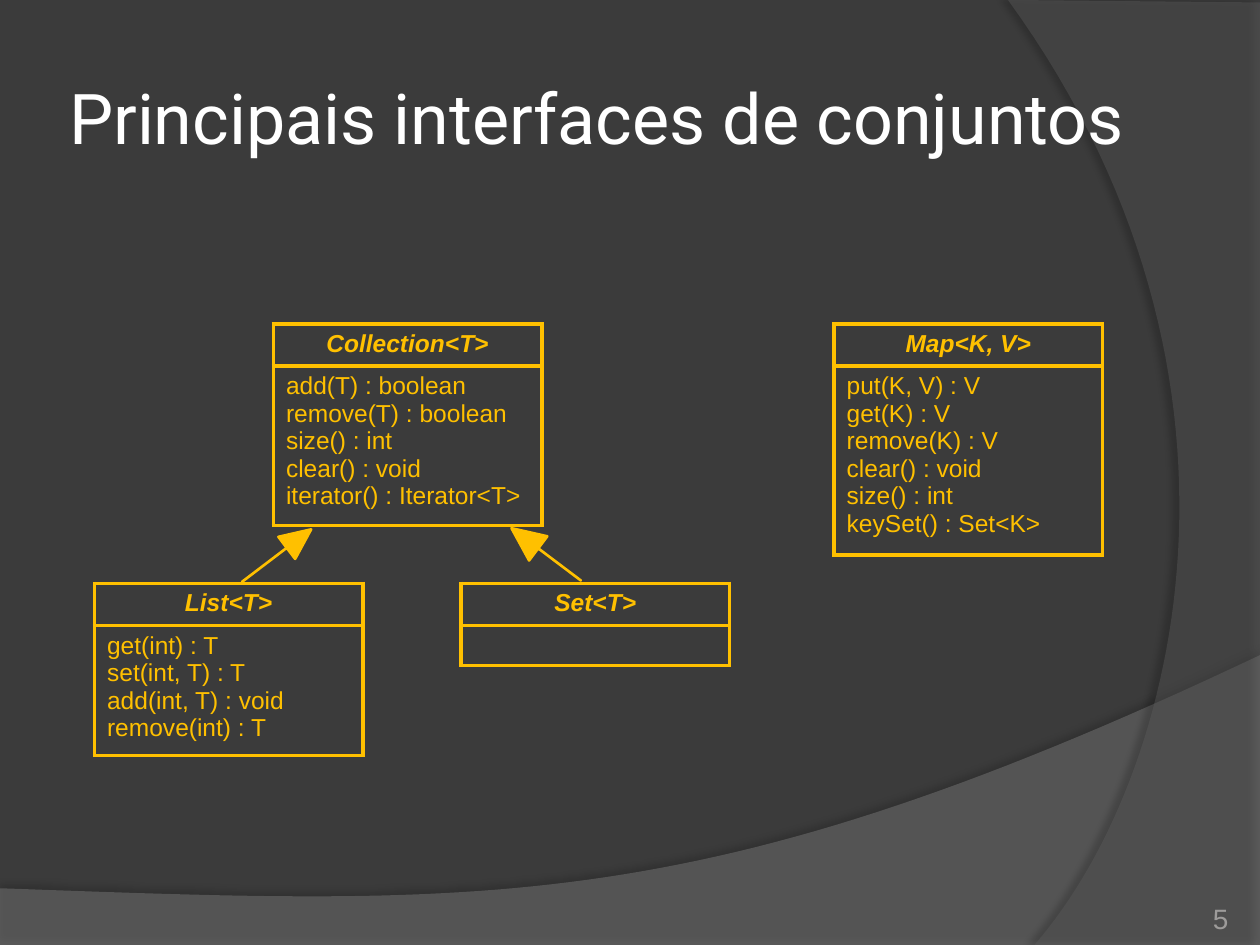
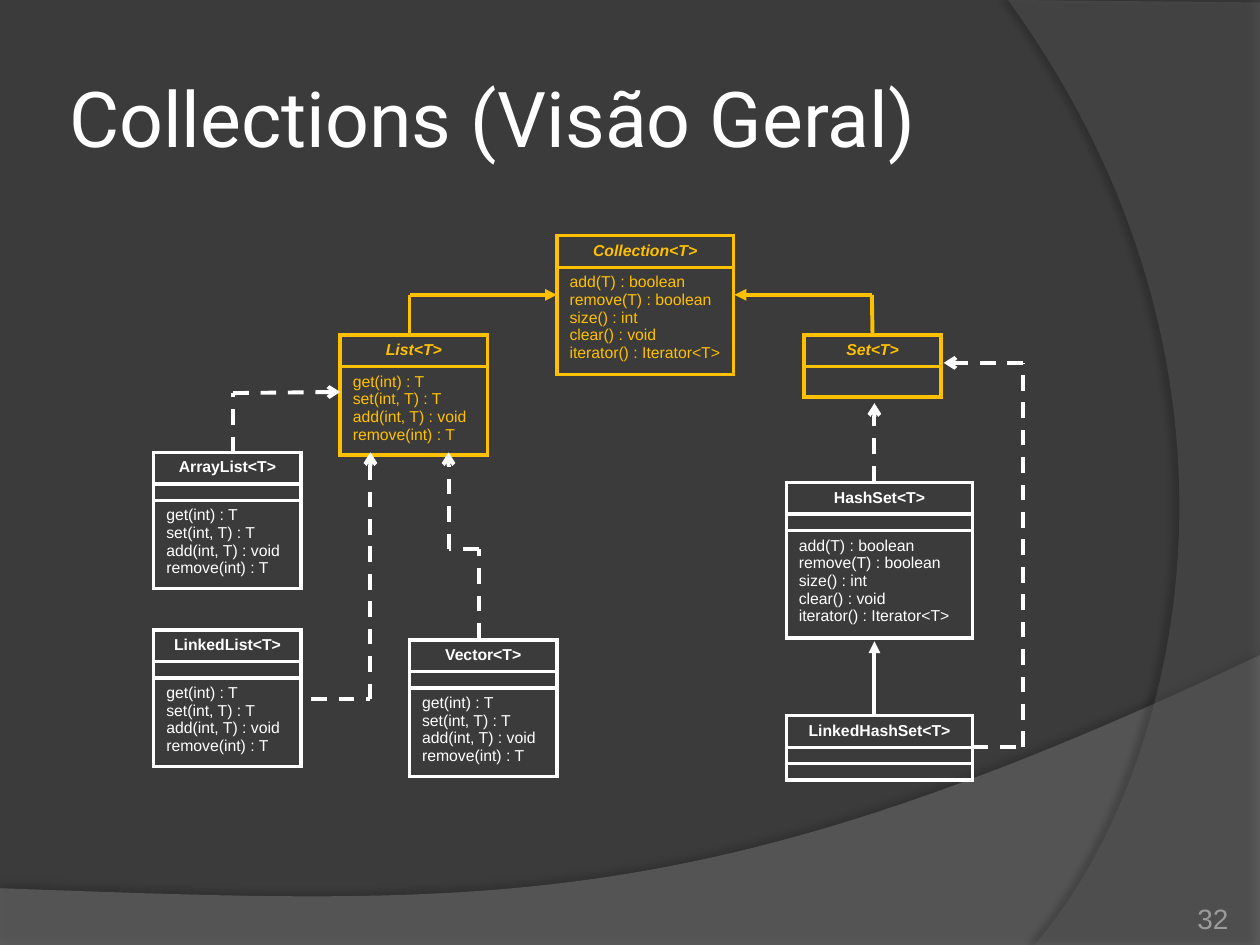
from dataclasses import dataclass
from itertools import pairwise
from typing import Optional

from lxml.etree import SubElement
from pptx import Presentation
from pptx.dml.color import RGBColor as RGB
from pptx.enum.dml import MSO_LINE as DASH
from pptx.enum.shapes import MSO_CONNECTOR as CONN, MSO_SHAPE as SHAPE
from pptx.enum.text import MSO_ANCHOR as ANCHOR, PP_ALIGN as ALIGN
from pptx.oxml.ns import qn
from pptx.util import Emu, Inches, Pt

COLORS = {
    "back": "3B3B3B", "hill": "7F7F7F", "arc": "5E5E5E", "shadow": "000000",
    "title": "FFFFFF", "page": "9D9B9A", "interface": "FFC000", "class": "FFFFFF",
}
WIDTH, HEIGHT = Inches(10), Inches(7.5)
COLS, ROWS = 100, 75
BORDER = 2.25
PADDING, LINE_ROWS, GAP_ROWS = 1, 0.156, 1.3
TOP, LEFT, RIGHT = 0, 1, 3

LIST_OPS = ("get(int) : T", "set(int, T) : T", "add(int, T) : void", "remove(int) : T")
COLLECTION_OPS = ("add(T) : boolean", "remove(T) : boolean", "size() : int",
                  "clear() : void", "iterator() : Iterator<T>")
MAP_OPS = ("put(K, V) : V", "get(K) : V", "remove(K) : V",
           "clear() : void", "size() : int", "keySet() : Set<K>")


@dataclass(frozen=True)
class UmlType:
    name: str
    col: float
    row: float
    width: float
    ops: tuple = ()
    kind: str = "interface"


@dataclass(frozen=True)
class Link:
    points: tuple
    kind: str = "class"
    dashed: bool = True
    start: Optional[tuple] = None
    end: Optional[tuple] = None


@dataclass(frozen=True)
class Band:
    color: str
    alpha: int
    before: tuple
    curve: tuple
    shadow_alpha: int
    distance: float
    angle: int


@dataclass(frozen=True)
class FatArrow:
    col: float
    row: float
    height: float
    rotation: float


@dataclass(frozen=True)
class Page:
    title: str
    title_size: int
    number: str
    text_size: int
    types: tuple
    links: tuple = ()
    arrows: tuple = ()


BANDS = (
    Band("hill", 45, ((0, 75), (100, 75)),
         ((100, 52), (55.9, 72.9), (39.1, 71.9), (0, 70.5)), 35, 3.5, 270),
    Band("arc", 40, ((100, 0.2), (100, 75)),
         ((82.1, 75), (93.5, 61.9), (101.8, 30), (80, 0)), 45, 4, 180),
)

PAGES = (
    Page("Principais interfaces de conjuntos", 40, "5", 14, (
        UmlType("Collection<T>", 21.7, 25.7, 21.3, COLLECTION_OPS),
        UmlType("Set<T>", 36.6, 46.3, 21.3),
        UmlType("List<T>", 7.5, 46.3, 21.3, LIST_OPS),
        UmlType("Map<K, V>", 66.2, 25.7, 21.3, MAP_OPS),
    ), arrows=(FatArrow(18.5, 43, 2.2, 322.8), FatArrow(39.9, 42.8, 2.4, 217))),
    Page("Collections (Visão Geral)", 44, "32", 9, (
        UmlType("Collection<T>", 44.2, 18.7, 14, COLLECTION_OPS),
        UmlType("Set<T>", 63.8, 26.6, 10.9),
        UmlType("List<T>", 27, 26.6, 11.7, LIST_OPS),
        UmlType("ArrayList<T>", 12.2, 35.9, 11.7, LIST_OPS, "class"),
        UmlType("LinkedList<T>", 12.2, 50, 11.7, LIST_OPS, "class"),
        UmlType("Vector<T>", 32.5, 50.8, 11.7, LIST_OPS, "class"),
        UmlType("HashSet<T>", 62.4, 38.3, 14.8, COLLECTION_OPS, "class"),
        UmlType("LinkedHashSet<T>", 62.4, 56.8, 14.8, (), "class"),
    ), (
        Link(((32.5, 26.6), (32.5, 23.4), (44.2, 23.4)), "interface", False),
        Link(((69.2, 26.6), (69.2, 23.4), (58.3, 23.4)), "interface", False,
             start=("Set<T>", TOP)),
        Link(((18.5, 35.9), (18.5, 31.2), (27, 31.2)), end=("List<T>", LEFT)),
        Link(((24.7, 55.5), (29.4, 55.5), (29.4, 35.9))),
        Link(((38, 50.7), (38, 43.6), (35.6, 43.6), (35.6, 35.9))),
        Link(((69.4, 56.8), (69.4, 50.9)), dashed=False),
        Link(((69.4, 38.2), (69.4, 32))),
        Link(((77.2, 59.3), (81.2, 59.3), (81.2, 28.8), (74.9, 28.8)),
             start=("LinkedHashSet<T>", RIGHT)),
    )),
)


def x(cols: float) -> Emu:
    return Emu(round(WIDTH * cols / COLS))


def y(rows: float) -> Emu:
    return Emu(round(HEIGHT * rows / ROWS))


def rgb(name: str) -> RGB:
    return RGB.from_string(COLORS[name])


def apply(target, formats: dict) -> None:
    for name, value in formats.items():
        setattr(target, name, value)


def add_run(p, text: str, color: str, **font) -> None:
    r = p.add_run()
    r.text = text
    apply(r.font, font)
    r.font.color.rgb = rgb(color)


def add_text(slide, box: tuple, text: str, color: str, inset: float,
             anchor, align, **font) -> None:
    col, row, width, height = box
    tf = slide.shapes.add_textbox(x(col), y(row), x(width), y(height)).text_frame
    sides = ("left", "top", "right", "bottom")
    apply(tf, {f"margin_{side}": Inches(inset) for side in sides}
          | {"word_wrap": True, "vertical_anchor": anchor})
    p = tf.paragraphs[0]
    p.alignment = align
    add_run(p, text, color, **font)


def bezier(points: tuple, steps: int = 60) -> list:
    weights = (1, 3, 3, 1)
    return [tuple(sum(w * (1 - t) ** (3 - i) * t ** i * pt[axis]
                      for i, (w, pt) in enumerate(zip(weights, points)))
                  for axis in (0, 1))
            for t in (step / steps for step in range(steps + 1))]


def add_band(slide, band: Band) -> None:
    outline = [(x(c), y(r)) for c, r in (*band.before, *bezier(band.curve))]
    builder = slide.shapes.build_freeform(*outline[0])
    builder.add_line_segments(outline[1:], close=True)
    sp = builder.convert_to_shape()
    sp.line.fill.background()
    sp.fill.solid()
    sp.fill.fore_color.rgb = rgb(band.color)
    fill_color = sp._element.spPr.find(qn("a:solidFill"))[0]
    SubElement(fill_color, qn("a:alpha"), val=str(band.alpha * 1000))
    effects = SubElement(sp._element.spPr, qn("a:effectLst"))
    shadow = SubElement(effects, qn("a:outerShdw"), blurRad=str(Pt(4)),
                        dist=str(Pt(band.distance)), dir=str(band.angle * 60000),
                        algn="ctr", rotWithShape="0")
    color = SubElement(shadow, qn("a:srgbClr"), val=COLORS["shadow"])
    SubElement(color, qn("a:alpha"), val=str(band.shadow_alpha * 1000))


def frame_cell(cell, color: str) -> None:
    cell.fill.background()
    tc_pr = cell._tc.get_or_add_tcPr()
    for i, side in enumerate(("lnL", "lnR", "lnT", "lnB")):
        ln = SubElement(tc_pr, qn(f"a:{side}"), w=str(Pt(BORDER)))
        fill = SubElement(ln, qn("a:solidFill"))
        SubElement(fill, qn("a:srgbClr"), val=COLORS[color])
        tc_pr.insert(i, ln)


def add_type(slide, uml: UmlType, size: int):
    def text_rows(lines: int) -> float:
        return PADDING + lines * size * LINE_ROWS

    concrete = uml.kind == "class"
    empty = GAP_ROWS if concrete else text_rows(1)
    heights = [text_rows(1)] + [GAP_ROWS] * concrete
    heights.append(text_rows(len(uml.ops)) if uml.ops else empty)
    frame = slide.shapes.add_table(len(heights), 1, x(uml.col), y(uml.row),
                                   x(uml.width), y(sum(heights)))
    table = frame.table
    apply(table, {"first_row": False, "horz_banding": False})
    texts = [(uml.name,)] + [()] * concrete + [uml.ops]
    for i, (height, lines) in enumerate(zip(heights, texts)):
        table.rows[i].height = y(height)
        cell = table.cell(i, 0)
        frame_cell(cell, uml.kind)
        tf = cell.text_frame
        for n, line in enumerate(lines):
            p = tf.add_paragraph() if n else tf.paragraphs[0]
            p.alignment = ALIGN.LEFT if i else ALIGN.CENTER
            add_run(p, line, uml.kind, name="Arial", size=Pt(size),
                    bold=i == 0, italic=i == 0 and not concrete)
        if not lines:
            apply(cell, {"margin_top": 0, "margin_bottom": 0})
            SubElement(tf.paragraphs[0]._p, qn("a:endParaRPr"), sz="400")
    return frame


def add_link(slide, link: Link, frames: dict) -> None:
    segments = list(pairwise(link.points))
    for i, ((c1, r1), (c2, r2)) in enumerate(segments):
        last = i == len(segments) - 1
        line = slide.shapes.add_connector(CONN.STRAIGHT, x(c1), y(r1), x(c2), y(r2))
        if link.start and i == 0:
            name, site = link.start
            line.begin_connect(frames[name], site)
        if link.end and last:
            name, site = link.end
            line.end_connect(frames[name], site)
        line.line.width = Pt(BORDER)
        line.line.color.rgb = rgb(link.kind)
        if link.dashed:
            line.line.dash_style = DASH.DASH
        if last:
            SubElement(line.line._get_or_add_ln(), qn("a:tailEnd"),
                       type="arrow" if link.dashed else "triangle")
        SubElement(line._element.spPr, qn("a:effectLst"))


def add_fat_arrow(slide, arrow: FatArrow) -> None:
    sp = slide.shapes.add_shape(SHAPE.RIGHT_ARROW, x(arrow.col), y(arrow.row),
                                x(6.9), y(arrow.height))
    sp.rotation = arrow.rotation
    sp.adjustments[0], sp.adjustments[1] = 0, 1.105
    sp.shadow.inherit = False
    sp.fill.solid()
    sp.fill.fore_color.rgb = sp.line.color.rgb = rgb("interface")
    sp.line.width = Pt(1.5)


def add_page(prs, page: Page) -> None:
    slide = prs.slides.add_slide(prs.slide_layouts[6])
    slide.background.fill.solid()
    slide.background.fill.fore_color.rgb = rgb("back")
    for band in BANDS:
        add_band(slide, band)
    add_text(slide, (5, 3, 88.3, 12.5), page.title, "title", 0.05,
             ANCHOR.MIDDLE, ALIGN.LEFT, name="Roboto", size=Pt(page.title_size))
    frames = {uml.name: add_type(slide, uml, page.text_size) for uml in page.types}
    for link in page.links:
        add_link(slide, link, frames)
    for arrow in page.arrows:
        add_fat_arrow(slide, arrow)
    add_text(slide, (89.2, 70.2, 8.3, 4), page.number, "page", 0,
             ANCHOR.BOTTOM, ALIGN.RIGHT, name="Arial", size=Pt(16))


def main() -> None:
    prs = Presentation()
    apply(prs, {"slide_width": WIDTH, "slide_height": HEIGHT})
    for page in PAGES:
        add_page(prs, page)
    prs.save("out.pptx")


if __name__ == "__main__":
    main()
